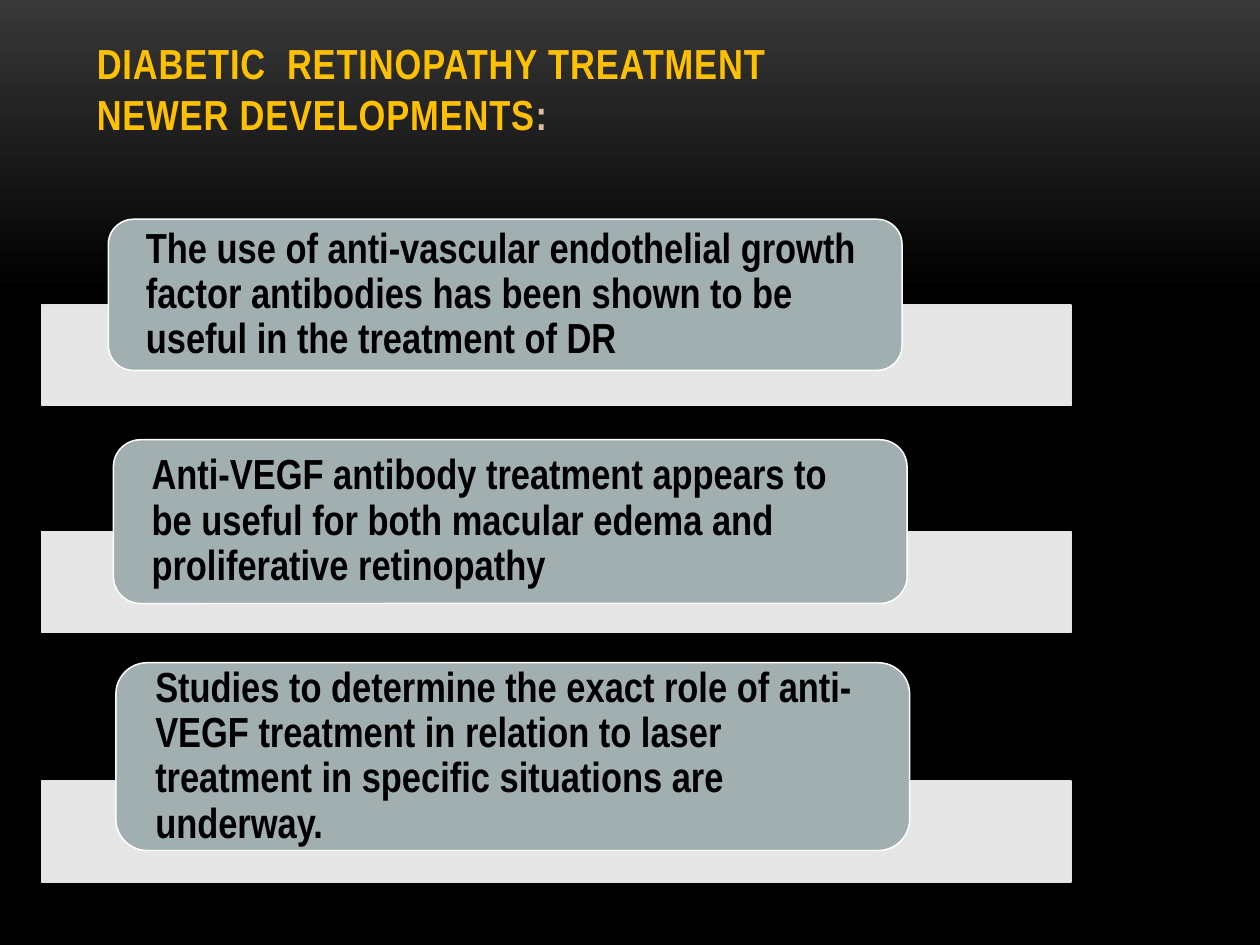
from dataclasses import dataclass

from lxml.etree import SubElement
from pptx import Presentation
from pptx.dml.color import RGBColor
from pptx.enum.shapes import MSO_SHAPE
from pptx.enum.text import MSO_ANCHOR, PP_ALIGN
from pptx.oxml.ns import qn
from pptx.util import Inches, Pt

COLORS = {
    "glow": "383838",
    "black": "000000",
    "white": "FFFFFF",
    "title": "FFC000",
    "colon": "E0BBA0",
    "card": "A2AFB1",
    "bar_line": "E0E4E5",
}
FONT = "Arial Narrow"
BAR_LEFT, BAR_WIDTH, BAR_HEIGHT = 0.33, 8.17, 0.8
CARD_WIDTH = 6.3


@dataclass
class Development:
    text: str
    card_left: float
    card_top: float
    card_height: float
    bar_top: float


DEVELOPMENTS = [
    Development("The use of anti-vascular endothelial growth factor antibodies "
                "has been shown to be useful in the treatment of DR",
                0.86, 1.74, 1.2, 2.42),
    Development("Anti-VEGF antibody treatment appears to be useful for both "
                "macular edema and proliferative retinopathy",
                0.9, 3.49, 1.3, 4.22),
    Development("Studies to determine the exact role of anti-VEGF treatment in "
                "relation to laser treatment in specific situations are underway.",
                0.92, 5.26, 1.49, 6.2),
]


def color(name: str) -> RGBColor:
    return RGBColor.from_string(COLORS[name])


def style_span(span, color_name: str) -> None:
    span.font.name = FONT
    span.font.size = Pt(24)
    span.font.bold = True
    span.font.color.rgb = color(color_name)


def paint_background(page) -> None:
    fill = page.background.fill
    fill.gradient()
    fill.gradient_angle = 270
    for stop, name, position in zip(fill.gradient_stops, ("glow", "black"), (0, 0.31)):
        stop.color.rgb = color(name)
        stop.position = position


def add_title(page) -> None:
    box = page.shapes.add_textbox(Inches(0.67), Inches(0.3), Inches(8.67), Inches(1.25))
    frame = box.text_frame
    frame.word_wrap = True
    frame.vertical_anchor = MSO_ANCHOR.BOTTOM
    frame.margin_bottom = Inches(0.45)
    frame.text = "DIABETIC  RETINOPATHY TREATMENT\vNEWER DEVELOPMENTS"
    paragraph = frame.paragraphs[0]
    paragraph.add_run().text = ":"
    for span in paragraph.runs:
        style_span(span, "title")
        span.font._element.set("spc", "50")
    paragraph.runs[-1].font.color.rgb = color("colon")


def add_panel(page, kind: MSO_SHAPE, left: float, top: float, width: float,
              height: float, fill: str, line: str):
    panel = page.shapes.add_shape(kind, Inches(left), Inches(top),
                                  Inches(width), Inches(height))
    panel.shadow.inherit = False
    panel.fill.solid()
    panel.fill.fore_color.rgb = color(fill)
    panel.line.color.rgb = color(line)
    panel.line.width = Pt(0.85)
    return panel


def add_development(page, item: Development) -> None:
    """Draw a translucent bar with the text card overlapping it."""
    bar = add_panel(page, MSO_SHAPE.RECTANGLE, BAR_LEFT, item.bar_top,
                    BAR_WIDTH, BAR_HEIGHT, "white", "bar_line")
    fill_color = bar._element.spPr.find(qn("a:solidFill")).find(qn("a:srgbClr"))
    SubElement(fill_color, qn("a:alpha")).set("val", "90000")

    card = add_panel(page, MSO_SHAPE.ROUNDED_RECTANGLE, item.card_left, item.card_top,
                     CARD_WIDTH, item.card_height, "card", "white")
    frame = card.text_frame
    frame.word_wrap = True
    frame.vertical_anchor = MSO_ANCHOR.MIDDLE
    frame.margin_left = frame.margin_right = Inches(0.24)
    frame.margin_top = frame.margin_bottom = 0
    frame.text = item.text
    paragraph = frame.paragraphs[0]
    paragraph.alignment = PP_ALIGN.LEFT
    paragraph.line_spacing = 0.9
    style_span(paragraph.runs[0], "black")


def main() -> None:
    deck = Presentation()
    deck.slide_width, deck.slide_height = Inches(10), Inches(7.5)
    page = deck.slides.add_slide(deck.slide_layouts[6])
    paint_background(page)
    add_title(page)
    for item in DEVELOPMENTS:
        add_development(page, item)
    deck.save("out.pptx")


if __name__ == "__main__":
    main()
